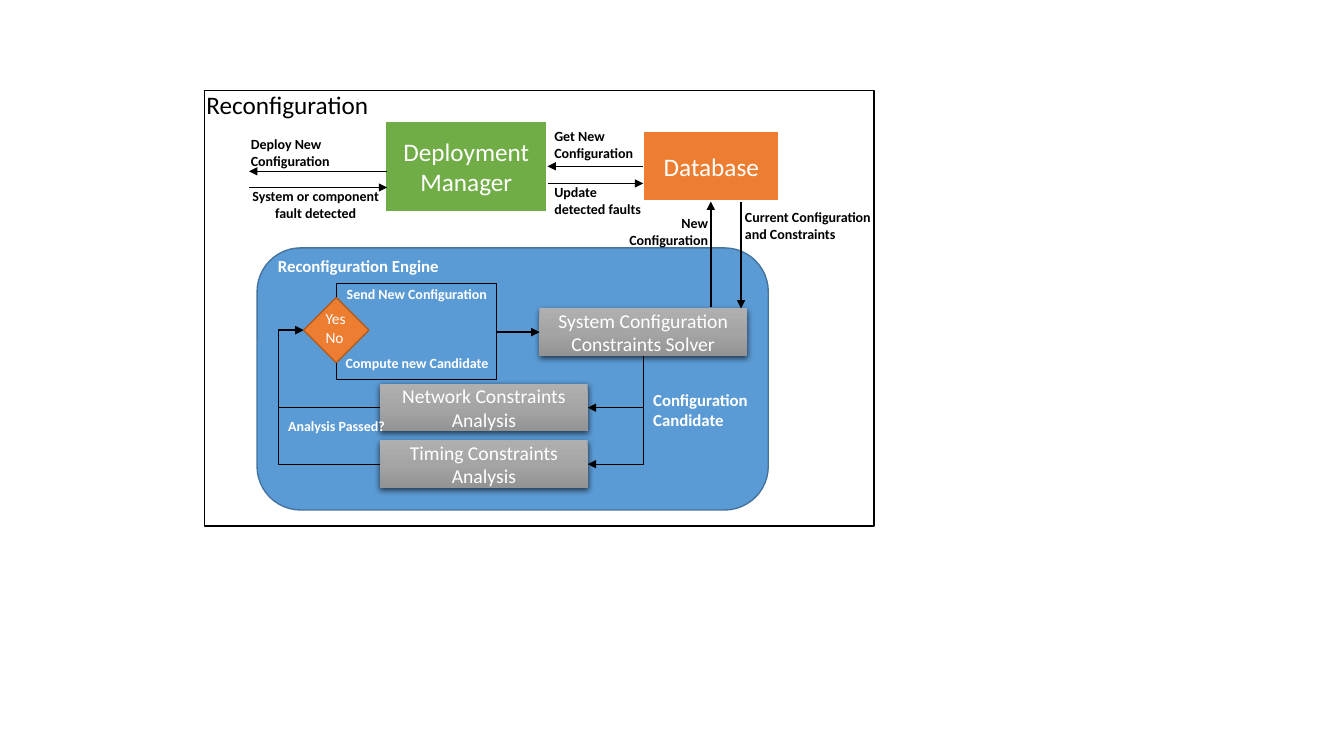
import copy
import dataclasses

import pptx
import pptx.dml.color
import pptx.enum.shapes
import pptx.enum.text
import pptx.oxml
import pptx.oxml.ns
import pptx.util

qn = pptx.oxml.ns.qn
SHAPE = pptx.enum.shapes.MSO_SHAPE
CONNECTOR = pptx.enum.shapes.MSO_CONNECTOR
ALIGN = pptx.enum.text.PP_ALIGN
ANCHOR = pptx.enum.text.MSO_ANCHOR
CELL = pptx.util.Inches(0.1)  # grid: 133.3 columns by 75 rows


@dataclasses.dataclass(frozen=True)
class Theme:
    font: str = "Calibri"
    black: str = "000000"
    white: str = "FFFFFF"
    orange: str = "ED7D31"
    orange_edge: str = "AF5C24"
    green: str = "70AD47"
    blue: str = "5B9BD5"
    blue_edge: str = "43739E"
    grey: tuple = ("AFAFAF", "A5A5A5", "939393")
    title: int = 18
    step: int = 14
    heading: int = 12
    decision: int = 11
    label: int = 10
    line: float = 1
    edge: float = 1.5


THEME = Theme()


@dataclasses.dataclass
class Region:
    """Part of the page whose corner is the origin, in grid cells."""
    page: object
    left: float
    top: float
    width: float
    height: float

    def place(self, x, y):
        return round((self.left + x) * CELL), round((self.top + y) * CELL)

    def sub(self, x, y, width, height):
        return Region(self.page, self.left + x, self.top + y, width, height)


def rgb(colour):
    return pptx.dml.color.RGBColor.from_string(colour)


def write(shape, text, size, colour, bold=False, align=ALIGN.LEFT):
    frame = shape.text_frame
    frame.word_wrap = True
    frame.text = text
    for para in frame.paragraphs:
        para.alignment = align
        para.font.name = THEME.font
        para.font.size = pptx.util.Pt(size)
        para.font.bold = bold
        para.font.color.rgb = rgb(colour)


def label(region, x, y, width, height, text, size=THEME.label,
          colour=THEME.black, bold=True, align=ALIGN.LEFT):
    box = region.page.shapes.add_textbox(
        *region.place(x, y), round(width * CELL), round(height * CELL))
    write(box, text, size, colour, bold, align)


def block(region, kind, x, y, width, height, fill=None, edge=None,
          weight=THEME.line, text="", size=THEME.title):
    shape = region.page.shapes.add_shape(
        kind, *region.place(x, y), round(width * CELL), round(height * CELL))
    shape.shadow.inherit = False
    if fill:
        shape.fill.solid()
        shape.fill.fore_color.rgb = rgb(fill)
    if edge:
        shape.line.color.rgb = rgb(edge)
        shape.line.width = pptx.util.Pt(weight)
    else:
        shape.line.fill.background()
    if text:
        write(shape, text, size, THEME.white, align=ALIGN.CENTER)
        shape.text_frame.vertical_anchor = ANCHOR.MIDDLE
    return shape


def step(region, x, y, width, height, text):
    """Grey gradient block with a soft shadow below."""
    shape = block(region, SHAPE.RECTANGLE, x, y, width, height,
                  text=text, size=THEME.step)
    shape.fill.gradient()
    shape.fill.gradient_angle = 270
    properties = shape._element.spPr
    stops = properties.find(".//" + qn("a:gsLst"))
    stops.append(copy.deepcopy(stops[0]))
    for index, stop in enumerate(shape.fill.gradient_stops):
        stop.color.rgb = rgb(THEME.grey[index])
        stop.position = index / 2
    properties.find(qn("a:effectLst")).append(pptx.oxml.parse_xml(
        f'<a:outerShdw {pptx.oxml.ns.nsdecls("a")} blurRad="57150" dist="19050" '
        f'dir="5400000" algn="ctr" rotWithShape="0"><a:srgbClr val="{THEME.black}">'
        '<a:alpha val="63000"/></a:srgbClr></a:outerShdw>'))


def arrow(region, start, end, kind=CONNECTOR.STRAIGHT):
    line = region.page.shapes.add_connector(
        kind, *region.place(*start), *region.place(*end))
    line.line.color.rgb = rgb(THEME.black)
    line.line.width = pptx.util.Pt(THEME.line)
    outline = line.line._get_or_add_ln()
    outline.append(outline.makeelement(qn("a:tailEnd"), {"type": "triangle"}))
    properties = line._element.spPr
    properties.append(properties.makeelement(qn("a:effectLst"), {}))
    return line


def elbow(region, start, end, turn, bends=(), flips=()):
    """Bent arrow, turned about its middle; bends are shares of its length."""
    (x1, y1), (x2, y2) = start, end
    width, height = abs(x2 - x1), abs(y2 - y1)
    if turn % 180:
        width, height = height, width
    left, top = (x1 + x2 - width) / 2, (y1 + y2 - height) / 2
    line = arrow(region, (left, top), (left + width, top + height), CONNECTOR.ELBOW)
    frame = line._element.spPr.find(qn("a:xfrm"))
    frame.set("rot", str(turn * 60000))
    for flip in flips:
        frame.set(flip, "1")
    geometry = line._element.spPr.find(qn("a:prstGeom"))
    geometry.set("prst", f"bentConnector{len(bends) + 2}")
    guides = geometry.find(qn("a:avLst"))
    for number, bend in enumerate(bends, 1):
        guides.append(guides.makeelement(qn("a:gd"), {
            "name": f"adj{number}", "fmla": f"val {round(bend * 100000)}"}))


def deployment_row(region):
    database = block(region, SHAPE.RECTANGLE, 43.5, 4, 13.5, 7, THEME.orange,
                     THEME.white, THEME.edge, "Database")
    manager = block(region, SHAPE.RECTANGLE, 17.9, 3, 16.1, 9, THEME.green,
                    THEME.white, THEME.edge, "Deployment Manager")
    label(region, -0.8, -0.6, 19.6, 4, "Reconfiguration", THEME.title, bold=False)
    label(region, 3.6, 4, 16, 4.4, "Deploy New Configuration")
    arrow(region, (18.1, 8), (4.4, 8))
    label(region, 3.1, 9.1, 15.8, 4.4, "System or component fault detected",
          align=ALIGN.CENTER)
    arrow(region, (4.4, 9.6), (18.1, 9.6))
    label(region, 33.7, 3.2, 11.3, 4.4, "Get New Configuration")
    fetch = arrow(region, (43.5, 7.5), (34, 7.5))
    fetch.begin_connect(database, 1)
    fetch.end_connect(manager, 3)
    label(region, 33.7, 8.7, 11.3, 4.4, "Update detected faults")
    arrow(region, (34.1, 9.2), (43.5, 9.2))


def reconfiguration_engine(region):
    block(region, SHAPE.ROUNDED_RECTANGLE, 0, 0, region.width, region.height,
          THEME.blue, THEME.blue_edge)
    label(region, 0.9, 0.3, 18.3, 3, "Reconfiguration Engine", THEME.heading,
          THEME.white, align=ALIGN.CENTER)
    width, height = 20.6, 4.7
    solver_x, solver_y, analysis_x = 28, 6, 12.2
    diamond_x, diamond_y, diamond = 4.6, 4.9, 6.5
    step(region, solver_x, solver_y, width, height,
         "System Configuration Constraints Solver")
    label(region, 38.3, 13.6, 11.6, 5, "Configuration Candidate", THEME.heading,
          THEME.white)

    for row, name in enumerate(("Network", "Timing")):
        top = 13.5 + 5.6 * row
        middle = top + height / 2
        step(region, analysis_x, top, width, height, f"{name} Constraints Analysis")
        elbow(region, (solver_x + width / 2, solver_y + height),
              (analysis_x + width, middle), 90)
        elbow(region, (analysis_x, middle), (diamond_x, diamond_y + diamond / 2),
              180, (1.33,))

    block(region, SHAPE.DIAMOND, diamond_x, diamond_y, diamond, diamond,
          THEME.orange, THEME.orange_edge)
    label(region, 5.8, 5.6, 4.5, 4.7, "Yes\nNo", THEME.decision, THEME.white, False)
    centre = diamond_x + diamond / 2
    solver_side = (solver_x, solver_y + height / 2)
    elbow(region, (centre, diamond_y), solver_side, 270, (-0.39, 0.79), ("flipH",))
    elbow(region, (centre, diamond_y + diamond), solver_side, 90, (-0.54, 0.79),
          ("flipH", "flipV"))
    for x, y, text in ((7.9, 3.2, "Send New Configuration"),
                       (7.8, 10.1, "Compute new Candidate"),
                       (2.1, 16.3, "Analysis Passed?")):
        label(region, x, y, 16.4, 2.7, text, colour=THEME.white)


def database_links(region):
    arrow(region, (53.2, 11), (53.2, 21.6))
    label(region, 52.6, 11.2, 14.8, 4.4, "Current Configuration and Constraints")
    arrow(region, (50.2, 21.5), (50.2, 11))
    label(region, 40.8, 11.8, 10.1, 4.4, "New\nConfiguration", align=ALIGN.RIGHT)


def main():
    deck = pptx.Presentation()
    deck.slide_width = pptx.util.Inches(13.33)
    deck.slide_height = pptx.util.Inches(7.5)
    page = deck.slides.add_slide(deck.slide_layouts[6])
    panel = Region(page, 20.3, 9, 66.4, 43.2)
    block(panel, SHAPE.RECTANGLE, 0, 0, panel.width, panel.height,
          THEME.white, THEME.black)
    deployment_row(panel)
    reconfiguration_engine(panel.sub(5.2, 15.6, 50.7, 26))
    database_links(panel)
    deck.save("out.pptx")


if __name__ == "__main__":
    main()
